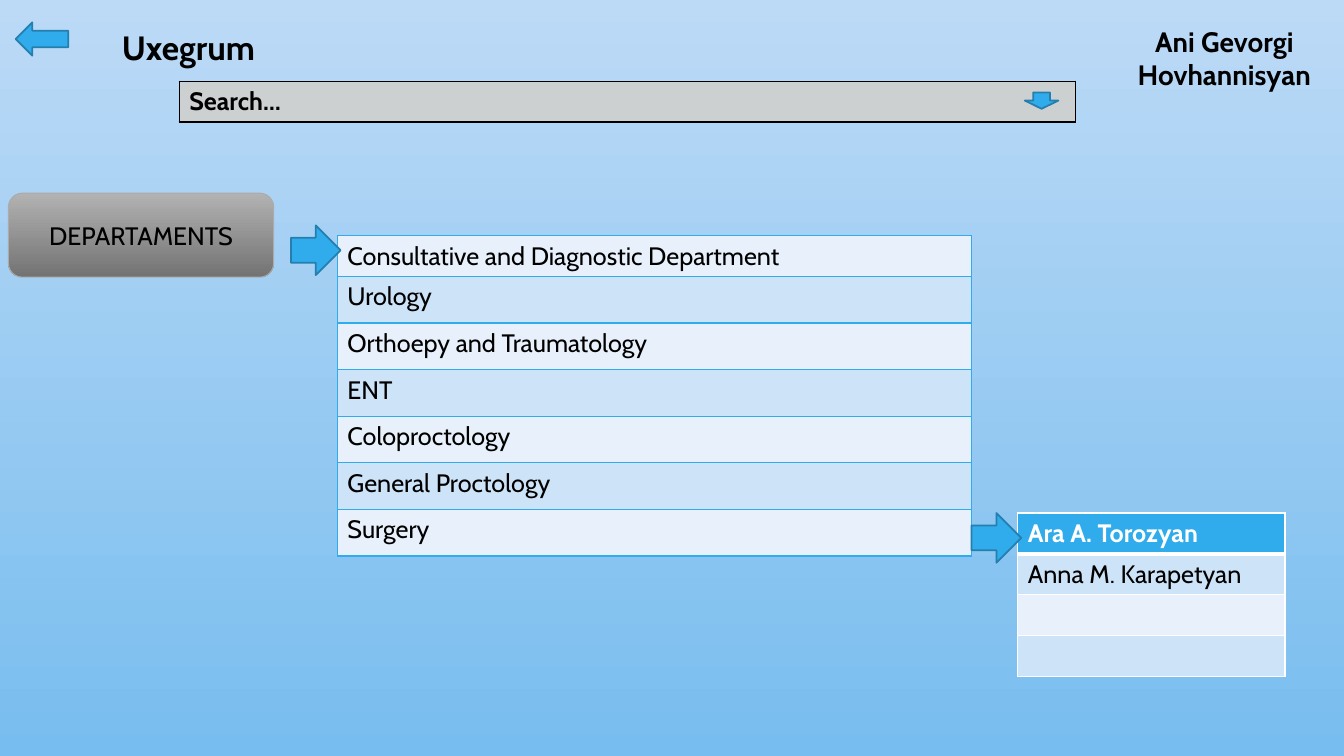
import pptx
import pptx.util
import pptx.dml.color
import pptx.enum.shapes
import pptx.enum.text
import pptx.oxml.ns
import lxml.etree

Pt = pptx.util.Pt
RGB = pptx.dml.color.RGBColor.from_string
Shape = pptx.enum.shapes.MSO_SHAPE
Align = pptx.enum.text.PP_ALIGN
Anchor = pptx.enum.text.MSO_ANCHOR
qn = pptx.oxml.ns.qn


class Theme:
    font = "Cabin"
    body, name, title = 18, 20, 24
    black, white = "000000", "FFFFFF"
    blue, edge = "30ACEC", "247FAF"
    pale, light = "E8F1FB", "CDE3F8"
    gray, rim = "CDD0D1", "ABABAB"
    sky = ("BCDAF6", "78BDEF")
    steel = ("B2B2B2", "737373")


def write(frame, text, size=Theme.body, color=Theme.black, bold=False, align=Align.LEFT):
    frame.word_wrap = True
    para = frame.paragraphs[0]
    para.alignment = align
    run = para.add_run()
    run.text = text
    run.font.name = Theme.font
    run.font.size = Pt(size)
    run.font.bold = bold
    run.font.color.rgb = RGB(color)


def grid(rows, left, top, width, heights, line, base=1):
    """Add a one-column table; rows hold text, fill, text color and bold."""
    table = slide.shapes.add_table(
        len(rows), 1, Pt(left), Pt(top), Pt(width), Pt(sum(heights))).table
    table.first_row = table.horz_banding = False
    for i, (text, fill, color, bold) in enumerate(rows):
        table.rows[i].height = Pt(heights[i])
        cell = table.cell(i, 0)
        cell.fill.solid()
        cell.fill.fore_color.rgb = RGB(fill)
        if text:
            write(cell.text_frame, text, color=color, bold=bold)
        else:
            cell.text_frame.paragraphs[0].font.size = Pt(Theme.body)
        # The first row has its own bottom line, shared with the row below
        wide = {("lnB", 0): base, ("lnT", 1): base}
        for k, side in enumerate(("lnL", "lnR", "lnT", "lnB")):
            rule = lxml.etree.Element(qn("a:" + side), w=str(Pt(wide.get((side, i), 1))))
            solid = lxml.etree.SubElement(rule, qn("a:solidFill"))
            lxml.etree.SubElement(solid, qn("a:srgbClr"), val=line)
            cell._tc.get_or_add_tcPr().insert(k, rule)


deck = pptx.Presentation()
deck.slide_width, deck.slide_height = Pt(960), Pt(540)
slide = deck.slides.add_slide(deck.slide_layouts[6])

# Search bar
grid([("Search…", Theme.gray, Theme.black, True)],
     128, 58, 640, [29], Theme.black, base=2)

# Departments button
button = slide.shapes.add_shape(
    Shape.ROUNDED_RECTANGLE, Pt(6), Pt(138), Pt(189.5), Pt(60))
button.shadow.inherit = False
button.line.color.rgb = RGB(Theme.rim)
button.line.width = Pt(0.75)
button.text_frame.vertical_anchor = Anchor.MIDDLE
write(button.text_frame, "DEPARTAMENTS", align=Align.CENTER)

# Gradients of the background and the button, top to bottom
for fill, tones in ((slide.background.fill, Theme.sky), (button.fill, Theme.steel)):
    fill.gradient()
    fill.gradient_angle = 270
    for stop, tone, place in zip(fill.gradient_stops, tones, (0, 1)):
        stop.color.rgb = RGB(tone)
        stop.position = place

# Department list
units = ["Consultative and Diagnostic Department", "Urology",
         "Orthoepy and Traumatology", "ENT", "Coloproctology",
         "General Proctology", "Surgery"]
bands = (Theme.pale, Theme.light)
grid([(unit, bands[i % 2], Theme.black, False) for i, unit in enumerate(units)],
     241, 168.3, 453, [29] + [33.3] * 6, Theme.blue)

# Doctor list
grid([("Ara A. Torozyan", Theme.blue, Theme.white, True),
      ("Anna M. Karapetyan", Theme.light, Theme.black, False),
      ("", Theme.pale, Theme.black, False),
      ("", Theme.light, Theme.black, False)],
     727, 366.5, 190.8, [28.8] * 4, Theme.white, base=3)

# Arrows
for kind, left, top, width, height in (
        (Shape.DOWN_ARROW, 732, 66, 24, 11.7),
        (Shape.LEFT_ARROW, 11.2, 16, 37.6, 23.8),
        (Shape.RIGHT_ARROW, 207.8, 161, 35.5, 35.5),
        (Shape.RIGHT_ARROW, 694, 366.5, 35.5, 35.5)):
    arrow = slide.shapes.add_shape(kind, Pt(left), Pt(top), Pt(width), Pt(height))
    arrow.shadow.inherit = False
    arrow.fill.solid()
    arrow.fill.fore_color.rgb = RGB(Theme.blue)
    arrow.line.color.rgb = RGB(Theme.edge)
    arrow.line.width = Pt(1.25)

# Title and user name
for text, left, top, width, height, size, align in (
        ("Uxegrum", 80, 16, 132, 36, Theme.title, Align.LEFT),
        ("Ani Gevorgi Hovhannisyan", 789, 13.7, 171, 55.5, Theme.name, Align.CENTER)):
    box = slide.shapes.add_textbox(Pt(left), Pt(top), Pt(width), Pt(height))
    box.text_frame.auto_size = pptx.enum.text.MSO_AUTO_SIZE.SHAPE_TO_FIT_TEXT
    write(box.text_frame, text, size=size, bold=True, align=align)

deck.save("out.pptx")
